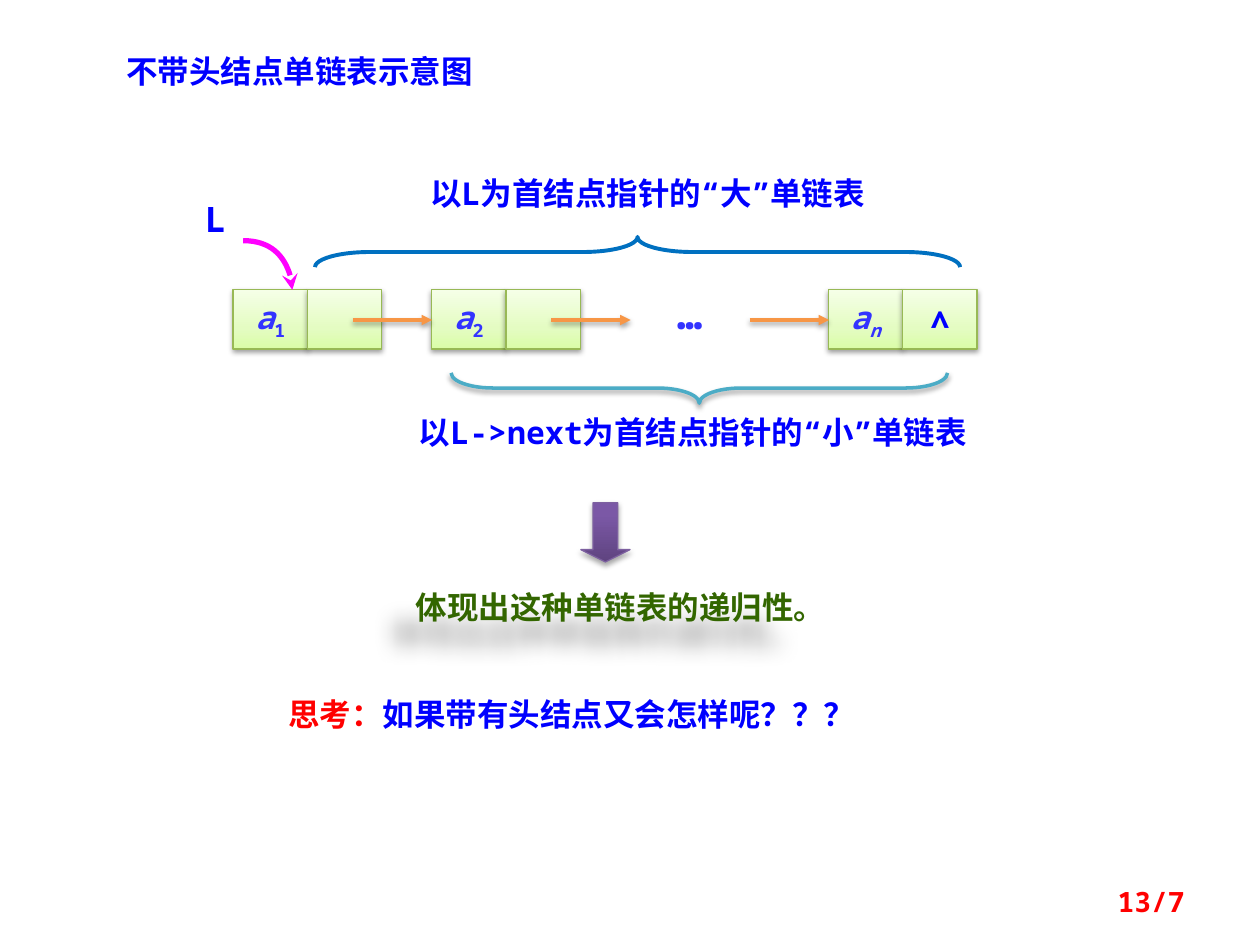
from lxml.etree import SubElement
from pptx import Presentation
from pptx.dml.color import RGBColor
from pptx.enum.shapes import MSO_CONNECTOR, MSO_SHAPE
from pptx.enum.text import MSO_ANCHOR, MSO_AUTO_SIZE, PP_ALIGN
from pptx.oxml.ns import qn
from pptx.util import Inches, Pt

BLUE = RGBColor(0x00, 0x00, 0xFF)
INDIGO = RGBColor(0x33, 0x33, 0xFF)
RED = RGBColor(0xFF, 0x00, 0x00)
GREEN = RGBColor(0x33, 0x66, 0x00)
PINK = RGBColor(0xFF, 0x00, 0xFF)
ORANGE = RGBColor(0xF7, 0x96, 0x46)
AZURE = RGBColor(0x00, 0x70, 0xC0)
TEAL = RGBColor(0x4B, 0xAC, 0xC6)
LIME = RGBColor(0x98, 0xB9, 0x55)
PURPLE = RGBColor(0x7D, 0x60, 0xA0)
LIMES = [(0, RGBColor(0xDA, 0xFD, 0xA7)), (35, RGBColor(0xE4, 0xFC, 0xC2)),
         (100, RGBColor(0xF5, 0xFF, 0xE7))]
PURPLES = [(0, RGBColor(0x5F, 0x44, 0x80)), (80, RGBColor(0x7B, 0x58, 0xA6)),
           (100, RGBColor(0x7C, 0x57, 0xA8))]
MONO, SANS = "Noto Sans Mono", "Noto Sans CJK SC"
PITCH = 6.3 / 4
CELL, HIGH = 0.59, 0.47


def box(left, top, width, height):
    """Return the four lengths of a box in inches."""
    return [Inches(n) for n in (left, top, width, height)]


def shade(shape, blur=3.1, dist=1.6, turn=90, alpha=38):
    """Give a shape an outer shadow."""
    effects = SubElement(shape._element.spPr, qn("a:effectLst"))
    outer = SubElement(effects, qn("a:outerShdw"), blurRad=str(Pt(blur)),
                       dist=str(Pt(dist)), dir=str(turn * 60000), rotWithShape="0")
    color = SubElement(outer, qn("a:srgbClr"), val="000000")
    SubElement(color, qn("a:alpha"), val=str(alpha * 1000))


def stroke(shape, color, width, head=None):
    """Set the line of a shape and its arrowhead."""
    shape.line.color.rgb = color
    shape.line.width = Pt(width)
    if head:
        SubElement(shape.line._get_or_add_ln(), qn("a:tailEnd"), type=head)


def blend(shape, stops):
    """Fill a shape with a gradient rising from its foot."""
    shape.fill.gradient()
    shape.fill.gradient_angle = 90
    ramp = shape._element.spPr.find(".//" + qn("a:gsLst"))
    for stop in list(ramp):
        ramp.remove(stop)
    for place, color in stops:
        stop = SubElement(ramp, qn("a:gs"), pos=str(place * 1000))
        SubElement(stop, qn("a:srgbClr"), val=str(color))


def write(frame, parts, size=18, align=PP_ALIGN.LEFT, face=MONO):
    """Write one paragraph of (text, colour) runs and return the runs."""
    para = frame.paragraphs[0]
    para.alignment = align
    runs = []
    for text, color in parts:
        run = para.add_run()
        run.text = text
        font = run.font
        font.name, font.size, font.bold = face, Pt(size), True
        font.color.rgb = color
        SubElement(run._r.get_or_add_rPr(), qn("a:ea"), typeface=face)
        runs.append(run)
    return runs


def label(slide, area, parts, size=18, align=PP_ALIGN.CENTER, face=MONO):
    """Add a wrapped text box."""
    shape = slide.shapes.add_textbox(*box(*area))
    shape.text_frame.word_wrap = True
    write(shape.text_frame, parts, size, align, face)
    return shape


def title(slide, area, text):
    """Place the slide title."""
    shape = slide.shapes.title
    shape.left, shape.top, shape.width, shape.height = box(*area)
    frame = shape.text_frame
    frame.auto_size = MSO_AUTO_SIZE.NONE
    frame.vertical_anchor = MSO_ANCHOR.TOP
    write(frame, [(text, BLUE)])


def cell(slide, left, top, parts):
    """Add one cell of a node and return its runs."""
    shape = slide.shapes.add_shape(MSO_SHAPE.RECTANGLE, *box(left, top, CELL, HIGH))
    blend(shape, LIMES)
    stroke(shape, LIME, 0.75)
    shade(shape)
    frame = shape.text_frame
    frame.word_wrap = False
    frame.vertical_anchor = MSO_ANCHOR.MIDDLE
    return write(frame, parts, align=PP_ALIGN.CENTER)


def node(slide, left, top, index, link):
    """Add a node with its data cell and link cell."""
    name, sub = cell(slide, left, top, [("a", INDIGO), (index, INDIGO)])
    name.font.italic = True
    sub.font.italic = index == "n"
    sub._r.get_or_add_rPr().set("baseline", "-25000")
    cell(slide, left + CELL, top, [(link, BLUE)] if link else [])


def chain(slide, left, top):
    """Draw the linked list with its arrows."""
    for step, index, link in ((0, "1", ""), (1, "2", ""), (3, "n", "∧")):
        node(slide, left + step * PITCH, top, index, link)
    label(slide, (left + 3.31, top - 0.07, 0.63, 0.5), [("…", INDIGO)], 24)
    for step in range(3):
        start, level = left + 0.95 + step * PITCH, top + 0.24
        arrow = slide.shapes.add_connector(
            MSO_CONNECTOR.STRAIGHT, *box(start, level, start + 0.63, level))
        stroke(arrow, ORANGE, 2, "triangle")
        shade(arrow)


def pointer(slide, left, top):
    """Draw the head pointer L with its curved arrow."""
    label(slide, (left, top, 0.47, 0.44), [("L", BLUE)], 20, PP_ALIGN.LEFT)
    x, y, side = left + 0.4, top + 0.39, 0.39
    draft = slide.shapes.build_freeform(Inches(x), Inches(y))
    draft.add_line_segments([(Inches(x + side), Inches(y + side))], close=False)
    curve = draft.convert_to_shape()
    curve.shadow.inherit = False
    curve.fill.background()
    stroke(curve, PINK, 3, "stealth")
    line = curve._element.spPr.find(".//" + qn("a:lnTo"))
    line.tag = qn("a:cubicBezTo")
    line.remove(line[0])
    for across, down in ((0.56, 0), (1, 0.46), (1, 1)):
        SubElement(line, qn("a:pt"), x=str(Inches(side * across)),
                   y=str(Inches(side * down)))


def brace(slide, area, turn, bend, color, width):
    """Add a brace lying along the given box and return it."""
    left, top, wide, high = area
    shape = slide.shapes.add_shape(MSO_SHAPE.RIGHT_BRACE, *box(
        left + (wide - high) / 2, top + (high - wide) / 2, high, wide))
    shape.rotation = turn
    shape.adjustments[0] = bend
    shape.shadow.inherit = False
    shape.fill.background()
    stroke(shape, color, width)
    return shape


def spans(slide, left, top):
    """Mark the large list above and the small list below."""
    label(slide, (left + 0.16, top, 4.96, 0.4), [("以L为首结点指针的“大”单链表", BLUE)])
    brace(slide, (left, top + 0.55, 5.12, 0.24), 270, 1.81, AZURE, 2.25)
    low = brace(slide, (left + 1.08, top + 1.63, 3.94, 0.24), 90, 1.39, TEAL, 2)
    low._element.spPr.remove(low._element.spPr.find(qn("a:effectLst")))
    shade(low)
    label(slide, (left + 0.08, top + 1.9, 5.84, 0.4),
          [("以L->next为首结点指针的“小”单链表", BLUE)])


def outcome(slide, left, top):
    """Draw the down arrow and the conclusion under it."""
    arrow = slide.shapes.add_shape(
        MSO_SHAPE.DOWN_ARROW, *box(left + 1.81, top, 0.39, 0.47))
    arrow.adjustments[0], arrow.adjustments[1] = 0.5, 0.25
    blend(arrow, PURPLES)
    stroke(arrow, PURPLE, 0.75)
    shade(arrow, dist=1.8, alpha=35)
    text = label(slide, (left, top + 0.63, 4.25, 0.4),
                 [("体现出这种单链表的递归性。", GREEN)], face=SANS)
    shade(text, 12, 20, 135, 35)


def main():
    """Build the slide and save it."""
    deck = Presentation()
    deck.slide_width, deck.slide_height = Inches(10), Inches(7.5)
    slide = deck.slides.add_slide(deck.slide_layouts[5])
    title(slide, (0.9, 0.36, 4.8, 0.4), "不带头结点单链表示意图")
    chain(slide, 1.85, 2.3)
    pointer(slide, 1.53, 1.52)
    spans(slide, 2.5, 1.33)
    outcome(slide, 2.8, 3.99)
    label(slide, (2.19, 5.47, 5.26, 0.4),
          [("思考：", RED), ("如果带有头结点又会怎样呢？？？", BLUE)], align=PP_ALIGN.LEFT)
    page = label(slide, (7.17, 6.95, 2.33, 0.4), [("13/7", RED)], 16, PP_ALIGN.RIGHT)
    page.text_frame.vertical_anchor = MSO_ANCHOR.MIDDLE
    deck.save("out.pptx")


if __name__ == "__main__":
    main()
